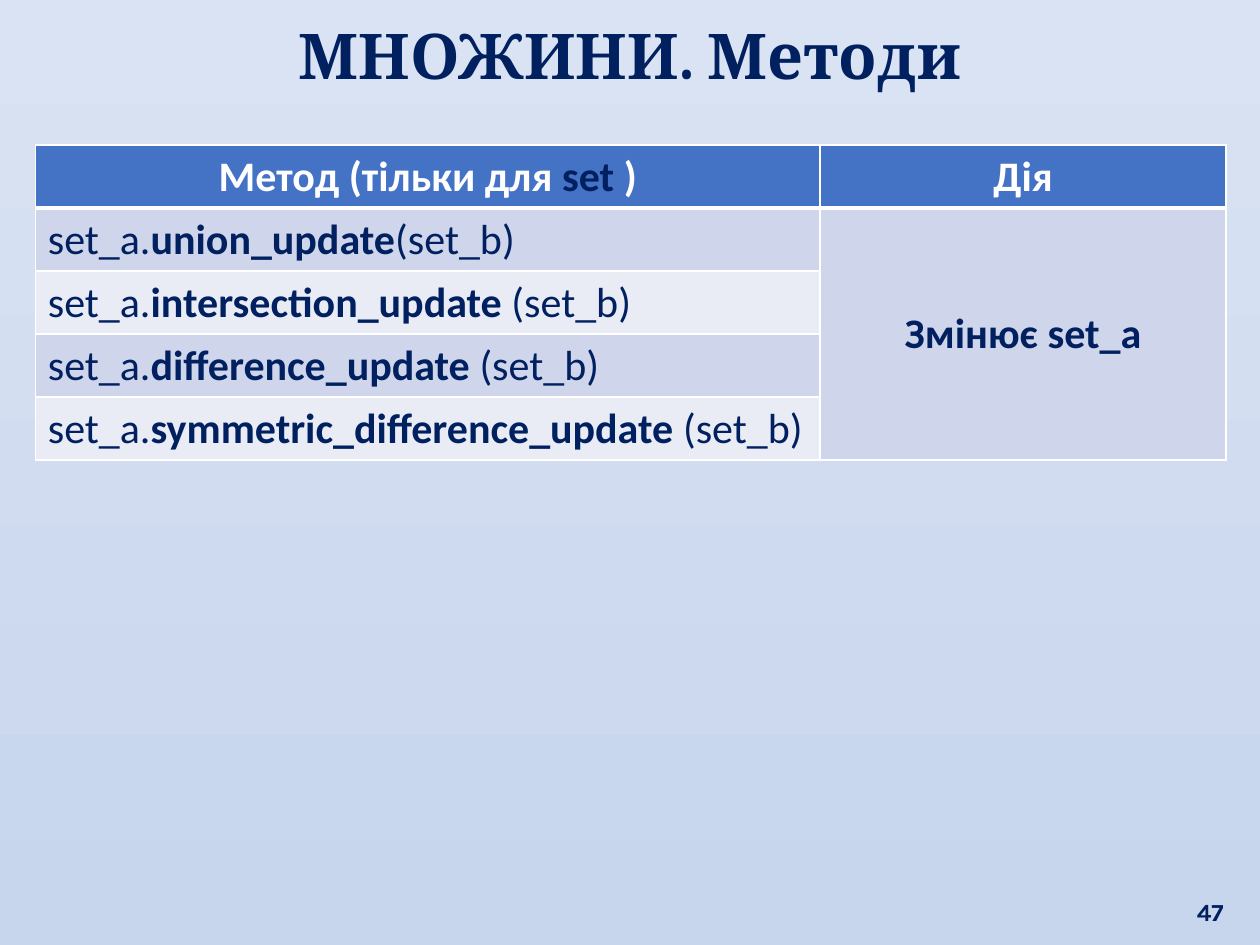
from pptx import Presentation
from pptx.dml.color import RGBColor
from pptx.enum.text import MSO_ANCHOR as Anchor, PP_ALIGN as Align
from pptx.oxml.ns import qn
from pptx.util import Inches, Pt
from lxml.etree import SubElement

NAVY = RGBColor(0x00, 0x20, 0x60)
WHITE = RGBColor(0xFF, 0xFF, 0xFF)
HEADER_BLUE = RGBColor(0x44, 0x72, 0xC4)
BANDS = [RGBColor(0xCF, 0xD5, 0xEA), RGBColor(0xE9, 0xEB, 0xF5)]
SKY_TOP = RGBColor(0xDA, 0xE3, 0xF3)
SKY_BOTTOM = RGBColor(0xC7, 0xD5, 0xED)

METHODS = [
    ("union_update", "(set_b)"),
    ("intersection_update ", "(set_b)"),
    ("difference_update ", "(set_b)"),
    ("symmetric_difference_update ", "(set_b)"),
]


def set_background(slide):
    fill = slide.background.fill
    fill.gradient()
    fill.gradient_angle = 270
    for stop, color in zip(fill.gradient_stops, (SKY_TOP, SKY_BOTTOM)):
        stop.color.rgb = color


def add_text(paragraph, text, font="Calibri", size=24, color=NAVY, bold=True, align=Align.LEFT):
    paragraph.alignment = align
    run = paragraph.add_run()
    run.text = text
    run.font.name = font
    run.font.size = Pt(size)
    run.font.bold = bold
    run.font.color.rgb = color


def add_label(slide, left, top, width, height, text, anchor=Anchor.TOP, **text_format):
    box = slide.shapes.add_textbox(Inches(left), Inches(top), Inches(width), Inches(height))
    frame = box.text_frame
    frame.word_wrap = True
    frame.vertical_anchor = anchor
    add_text(frame.paragraphs[0], text, **text_format)


def style_cell(cell, color, bottom=1):
    """Draw the white borders first, since the schema puts them before the fill."""
    properties = cell._tc.get_or_add_tcPr()
    for side, width in (("L", 1), ("R", 1), ("T", 1), ("B", bottom)):
        line = SubElement(properties, qn(f"a:ln{side}"), w=str(Pt(width)))
        SubElement(SubElement(line, qn("a:solidFill")), qn("a:srgbClr"), val=str(WHITE))
    cell.fill.solid()
    cell.fill.fore_color.rgb = color


def add_method_table(slide):
    row_count = len(METHODS) + 1
    table = slide.shapes.add_table(
        row_count, 2, Inches(0.28), Inches(1.15), Inches(9.45), Inches(0.5 * row_count)
    ).table
    for column, width in zip(table.columns, (6.23, 3.22)):
        column.width = Inches(width)

    for cell in table.rows[0].cells:
        style_cell(cell, HEADER_BLUE, bottom=3)
    header = table.cell(0, 0).text_frame.paragraphs[0]
    for text, color in (("Метод (тільки для ", WHITE), ("set ", NAVY), (")", WHITE)):
        add_text(header, text, color=color, align=Align.CENTER)
    add_text(table.cell(0, 1).text_frame.paragraphs[0], "Дія", color=WHITE, align=Align.CENTER)

    for row, (method, arguments) in enumerate(METHODS, start=1):
        style_cell(table.cell(row, 0), BANDS[(row - 1) % 2])
        style_cell(table.cell(row, 1), BANDS[0])
        paragraph = table.cell(row, 0).text_frame.paragraphs[0]
        for text, bold in (("set_a.", False), (method, True), (arguments, False)):
            add_text(paragraph, text, bold=bold)

    action = table.cell(1, 1)
    action.merge(table.cell(row_count - 1, 1))
    action.vertical_anchor = Anchor.MIDDLE
    add_text(action.text_frame.paragraphs[0], "Змінює set_a", align=Align.CENTER)


def main():
    presentation = Presentation()
    presentation.slide_width = Inches(10)
    presentation.slide_height = Inches(7.5)
    slide = presentation.slides.add_slide(presentation.slide_layouts[6])
    set_background(slide)
    add_label(slide, 0.12, 0.08, 9.76, 0.71, "МНОЖИНИ. Методи",
              font="Cambria", size=36, align=Align.CENTER)
    add_label(slide, 9.33, 6.9, 0.48, 0.5, "47", anchor=Anchor.BOTTOM,
              font="Karla", size=14, align=Align.RIGHT)
    add_method_table(slide)
    presentation.save("out.pptx")


if __name__ == "__main__":
    main()
